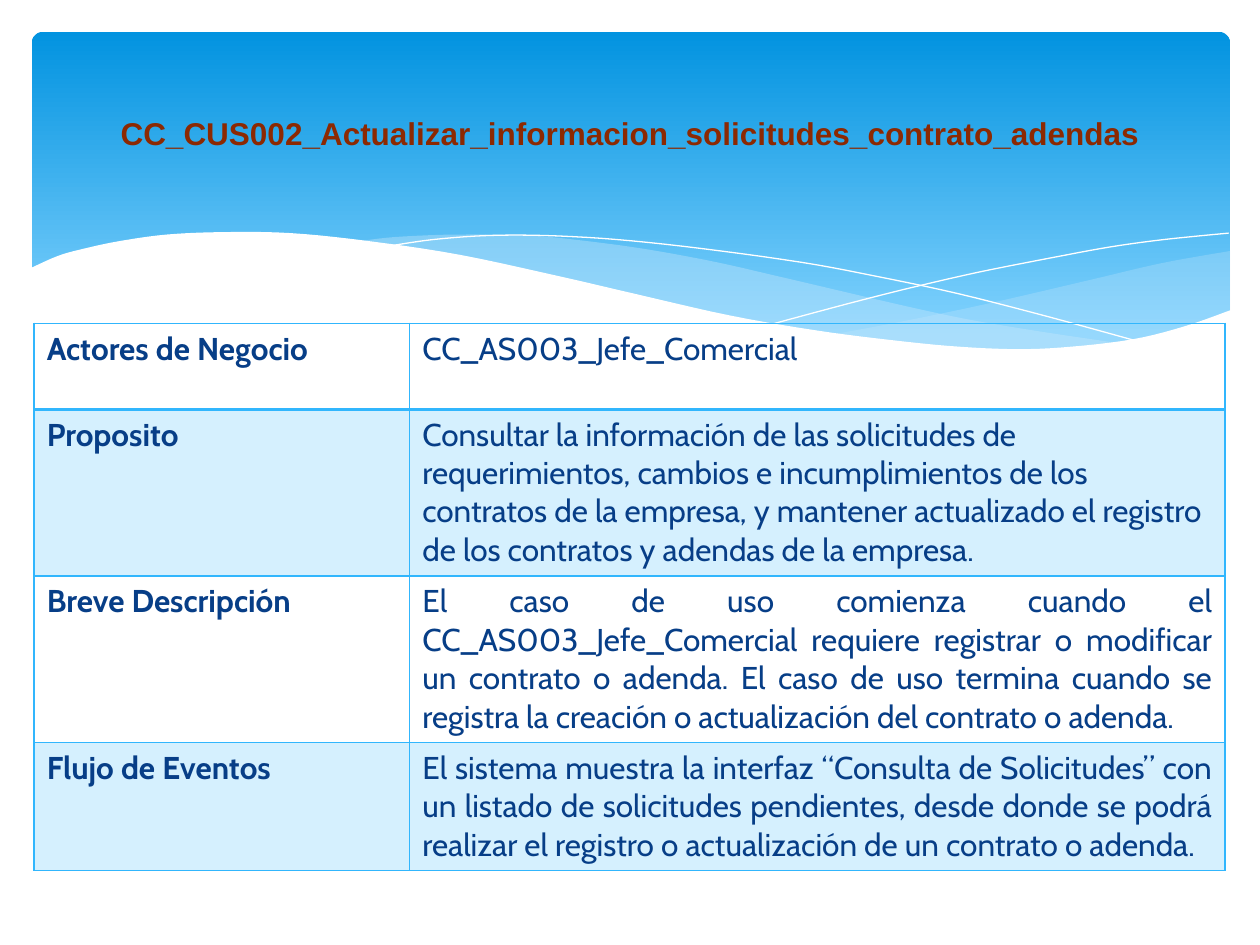
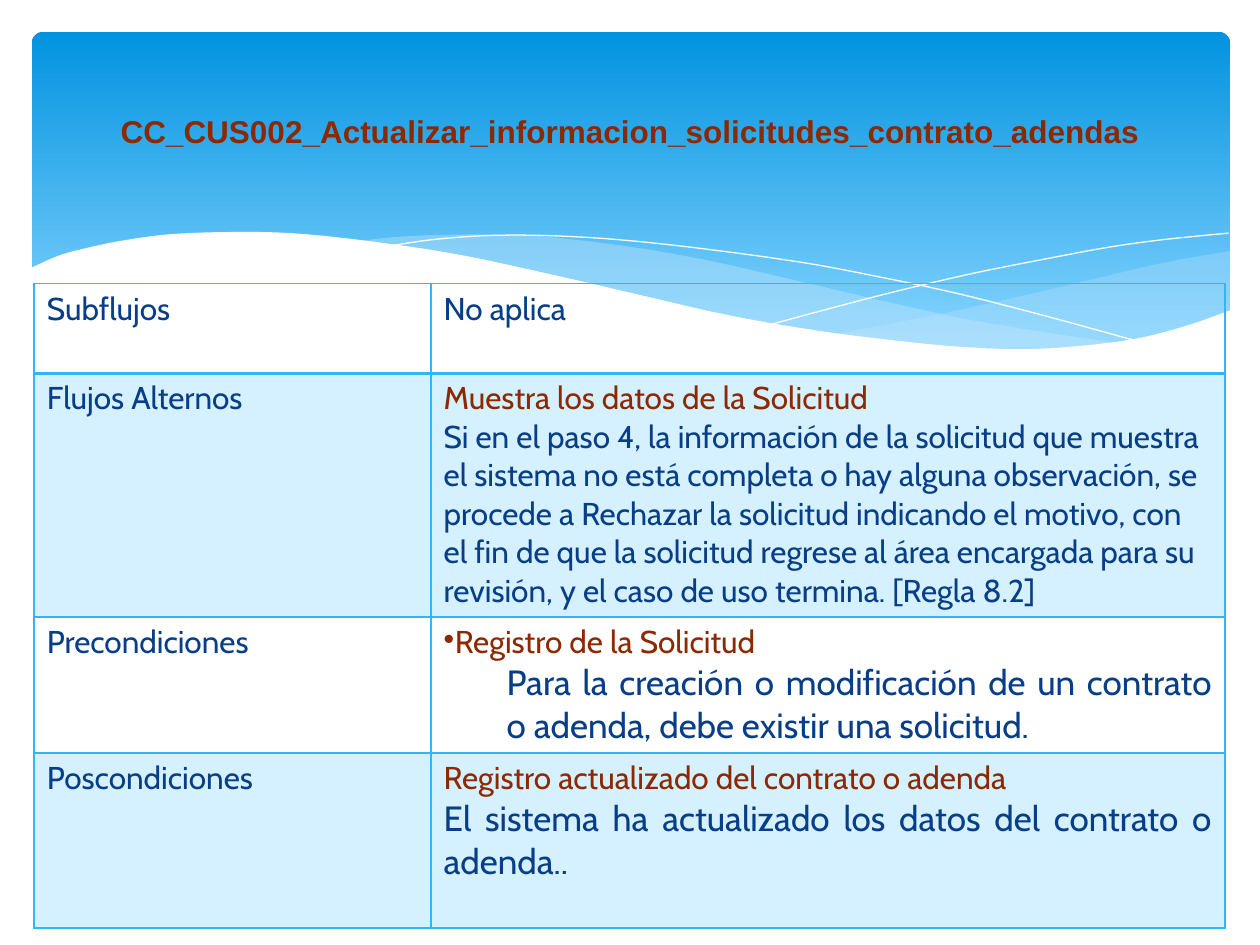
from lxml import etree
from pptx import Presentation
from pptx import util as u
from pptx.dml import color
from pptx.enum import shapes, text
from pptx.oxml import ns

BLUE_TOP, BLUE_BOTTOM, MIST = "0293E0", "83D3FE", "C6E7FC"
WHITE, SKY, NAVY, RUST = "FFFFFF", "31B6FD", "073E87", "8C2902"
BODY_FONT, TITLE_FONT = "Cabin", "Arial"
LEFT, CENTER, JUSTIFY = (text.PP_ALIGN.LEFT, text.PP_ALIGN.CENTER,
                         text.PP_ALIGN.JUSTIFY)

# Boxes are left, top, width, height in centimetres.
BANNER_BOX = (0.64, 0.64, 24.16, 6.86)
TITLE_BOX = (1.27, 0.94, 22.86, 3.48)
TITLE = "CC_CUS002_Actualizar_informacion_solicitudes_contrato_adendas"

# Curves of the banner: points in centimetres from its top left corner.
RIGHT_WAVE_TOP = [(24.16, 4.42), (22.76, 4.67), (21.23, 5.03), (19.15, 5.51),
                  (17.3, 5.89), (16.15, 6.1)]
RIGHT_WAVE_BOTTOM = [(16.15, 6.1), (17.27, 6.25), (18.59, 6.38), (19.76, 6.43),
                     (21.06, 6.38), (22.35, 6.2), (23.29, 5.94), (24.16, 5.64)]
MIDDLE_WAVE_TOP = [(22.05, 6.3), (19.86, 5.97), (18.19, 5.66), (15.34, 5),
                   (13.82, 4.65), (12.42, 4.39), (11.18, 4.22), (10.03, 4.11),
                   (8.53, 4.09), (7.32, 4.14), (6.63, 4.22)]
MIDDLE_WAVE_BOTTOM = [(6.63, 4.22), (8.05, 4.42), (9.63, 4.72), (10.77, 5),
                      (12.83, 5.46), (14.63, 5.84), (16.26, 6.12), (17.7, 6.32),
                      (19, 6.4), (20.14, 6.43), (21.13, 6.4), (22.05, 6.3)]
FALLING_LINE = [(7.21, 4.32), (8.1, 4.19), (9.19, 4.11), (10.36, 4.11),
                (11.79, 4.19), (13.49, 4.37), (15.52, 4.65), (17.02, 4.93),
                (18.67, 5.28), (20.47, 5.74), (22.4, 6.27)]
RISING_LINE = [(14.94, 5.89), (16.43, 5.49), (17.65, 5.18), (19.08, 4.85),
               (20.6, 4.55), (21.74, 4.34), (22.83, 4.19), (24.13, 4.06)]
WHITE_WAVE_TOP = [(24.18, 5.61), (23.24, 5.94), (22.2, 6.2), (20.96, 6.35),
                  (19.91, 6.4), (18.69, 6.35), (17.35, 6.22), (15.8, 6.02),
                  (14.07, 5.72), (12.14, 5.28), (10.72, 4.95), (8.64, 4.5),
                  (6.78, 4.22), (5.21, 4.06), (3.86, 4.04), (2.72, 4.09),
                  (1.78, 4.22), (1.07, 4.37), (0.53, 4.52), (-0.05, 4.78)]
WHITE_WAVE_BASE = [(-0.05, 7.72), (24.18, 7.72)]


def rgb(code):
    """Turn a hex string into a colour."""
    return color.RGBColor.from_string(code)


def sub(parent, tag, **attributes):
    """Append a DrawingML element."""
    return etree.SubElement(parent, ns.qn("a:" + tag), attributes)


def paint(fill, code, alpha=None):
    """Fill with one colour, alpha being its opacity in percent."""
    fill.solid()
    fill.fore_color.rgb = rgb(code)
    if alpha:
        # A table cell and a shape keep the fill in different parents.
        solid = fill._xPr.find(ns.qn("a:solidFill"))
        sub(solid[0], "alpha", val=str(alpha * 1000))


def write(frame, words, size=18, font=BODY_FONT, ink=NAVY, bold=False,
          align=LEFT, spacing=None, margin=0, indent=0, bullet=None):
    """Add a formatted paragraph, using the empty first one if there is one."""
    first = frame.paragraphs[0]
    paragraph = frame.add_paragraph() if first.runs else first
    paragraph.alignment = align
    if spacing:
        paragraph.line_spacing = spacing
    properties = paragraph._p.get_or_add_pPr()
    properties.set("marL", str(u.Cm(margin)))
    properties.set("indent", str(u.Cm(indent)))
    if bullet:
        sub(properties, "buChar", char=bullet)
    run = paragraph.add_run()
    run.text = words
    run.font.size, run.font.name, run.font.bold = u.Pt(size), font, bold
    run.font.color.rgb = rgb(ink)


def smooth(points, steps=5):
    """Return a Catmull-Rom curve through the points."""
    ends = [points[0], *points, points[-1]]
    curve = [points[0]]
    for a, b, c, d in zip(ends, ends[1:], ends[2:], ends[3:]):
        for step in range(1, steps + 1):
            t = step / steps
            curve.append(tuple(
                0.5 * (2 * q + (r - p) * t + (2 * p - 5 * q + 4 * r - s) * t ** 2
                       + (3 * q - p - 3 * r + s) * t ** 3)
                for p, q, r, s in zip(a, b, c, d)))
    return curve


def draw_curve(slide, box, points, fill=None, alpha=None):
    """Draw a filled wave, or a white hairline when no fill is given."""
    start, *rest = [(u.Cm(box[0] + x), u.Cm(box[1] + y)) for x, y in points]
    builder = slide.shapes.build_freeform(*start)
    builder.add_line_segments(rest, close=bool(fill))
    curve = builder.convert_to_shape()
    curve.shadow.inherit = False
    if fill:
        paint(curve.fill, fill, alpha)
        curve.line.fill.background()
    else:
        curve.fill.background()
        curve.line.color.rgb = rgb(WHITE)
        curve.line.width = u.Pt(0)


def draw_banner(slide, box):
    """Draw the blue gradient panel and the waves along its lower edge."""
    panel = slide.shapes.add_shape(shapes.MSO_SHAPE.ROUNDED_RECTANGLE,
                                   *map(u.Cm, box))
    panel.adjustments[0] = 0.034
    panel.shadow.inherit = False
    panel.line.fill.background()
    panel.fill.gradient()
    panel.fill.gradient_angle = 270
    stops = zip(panel.fill.gradient_stops, (BLUE_TOP, BLUE_BOTTOM), (0, 0.9))
    for stop, code, position in stops:
        stop.color.rgb = rgb(code)
        stop.position = position
    draw_curve(slide, box, smooth(RIGHT_WAVE_TOP) + smooth(RIGHT_WAVE_BOTTOM),
               MIST, 29)
    draw_curve(slide, box, smooth(MIDDLE_WAVE_TOP) + smooth(MIDDLE_WAVE_BOTTOM),
               MIST, 40)
    for line in (FALLING_LINE, RISING_LINE):
        draw_curve(slide, box, smooth(line))
    draw_curve(slide, box, smooth(WHITE_WAVE_TOP) + WHITE_WAVE_BASE, WHITE)


def add_title(slide, box, spacing):
    """Centre the use case name on the banner."""
    title = slide.shapes.add_textbox(*map(u.Cm, box)).text_frame
    title.word_wrap = True
    title.vertical_anchor = text.MSO_ANCHOR.MIDDLE
    write(title, TITLE, font=TITLE_FONT, ink=RUST, bold=True, align=CENTER,
          spacing=spacing)


def rule_cell(cell, top, bottom):
    """Border a cell, with the top and bottom widths in points."""
    properties = cell._tc.get_or_add_tcPr()
    for side, width in (("L", 1), ("R", 1), ("T", top), ("B", bottom)):
        line = sub(properties, "ln" + side, w=str(u.Pt(width)))
        sub(sub(line, "solidFill"), "srgbClr", val=SKY)


def add_details(slide, box, label_width, heights, rows, bold_labels):
    """Place the table of labels and details, with every second row tinted."""
    left, top, width = box
    table = slide.shapes.add_table(
        len(rows), 2, *map(u.Cm, (left, top, width, sum(heights)))).table
    table.first_row = table.horz_banding = False
    table.columns[0].width = u.Cm(label_width)
    table.columns[1].width = u.Cm(width - label_width)
    for index, (label, details) in enumerate(rows):
        table.rows[index].height = u.Cm(heights[index])
        label_cell, detail_cell = table.rows[index].cells
        write(label_cell.text_frame, label, bold=bold_labels)
        for words, style in details:
            write(detail_cell.text_frame, words, **style)
        for cell in (label_cell, detail_cell):
            rule_cell(cell, top=2 if index == 1 else 1,
                      bottom=2 if index == 0 else 1)
            if index % 2:
                paint(cell.fill, SKY, 20)
            else:
                cell.fill.background()


def add_use_case_slide(deck, title_spacing, **details):
    """Add a slide with banner, title and table."""
    slide = deck.slides.add_slide(deck.slide_layouts[6])
    draw_banner(slide, BANNER_BOX)
    add_title(slide, TITLE_BOX, title_spacing)
    add_details(slide, **details)


HEADING = dict(ink=RUST)
LARGE = dict(size=20, align=JUSTIFY)

SUMMARY = [
    ("Actores de Negocio", [("CC_AS003_Jefe_Comercial", {})]),
    ("Proposito", [
        ("Consultar la información de las solicitudes de requerimientos, "
         "cambios e incumplimientos de los contratos de la empresa, y mantener "
         "actualizado el registro de los contratos y adendas de la empresa.",
         {})]),
    ("Breve Descripción", [
        ("El caso de uso comienza cuando el CC_AS003_Jefe_Comercial requiere "
         "registrar o modificar un contrato o adenda. El caso de uso termina "
         "cuando se registra la creación o actualización del contrato o "
         "adenda.", dict(align=JUSTIFY))]),
    ("Flujo de Eventos", [
        ("El sistema muestra la interfaz “Consulta de Solicitudes” con un "
         "listado de solicitudes pendientes, desde donde se podrá realizar el "
         "registro o actualización de un contrato o adenda.",
         dict(align=JUSTIFY))]),
]
CONDITIONS = [
    ("Subflujos", [("No aplica", {})]),
    ("Flujos Alternos", [
        ("Muestra los datos de la Solicitud", HEADING),
        ("Si en el paso 4, la información de la solicitud que muestra el "
         "sistema no está completa o hay alguna observación, se procede a "
         "Rechazar la solicitud indicando el motivo, con el fin de que la "
         "solicitud regrese al área encargada para su revisión, y el caso de "
         "uso termina. [Regla 8.2]", {})]),
    ("Precondiciones", [
        ("Registro de la Solicitud", dict(HEADING, bullet="•", indent=-1.27)),
        ("Para la creación o modificación de un contrato o adenda, debe "
         "existir una solicitud.", dict(LARGE, margin=1.27))]),
    ("Poscondiciones", [
        ("Registro actualizado del contrato o adenda", HEADING),
        ("El sistema ha actualizado los datos del contrato o adenda..",
         LARGE)]),
]

deck = Presentation()
deck.slide_width, deck.slide_height = u.Cm(25.4), u.Cm(19.05)
add_use_case_slide(deck, None, box=(0.69, 6.52, 24), label_width=7.57,
                   heights=[1.73, 3.36, 3.36, 2.58], rows=SUMMARY,
                   bold_labels=True)
add_use_case_slide(deck, 0.9, box=(0.69, 5.72, 24), label_width=8,
                   heights=[1.8, 4.92, 2.74, 3.53], rows=CONDITIONS,
                   bold_labels=False)
deck.save("out.pptx")
